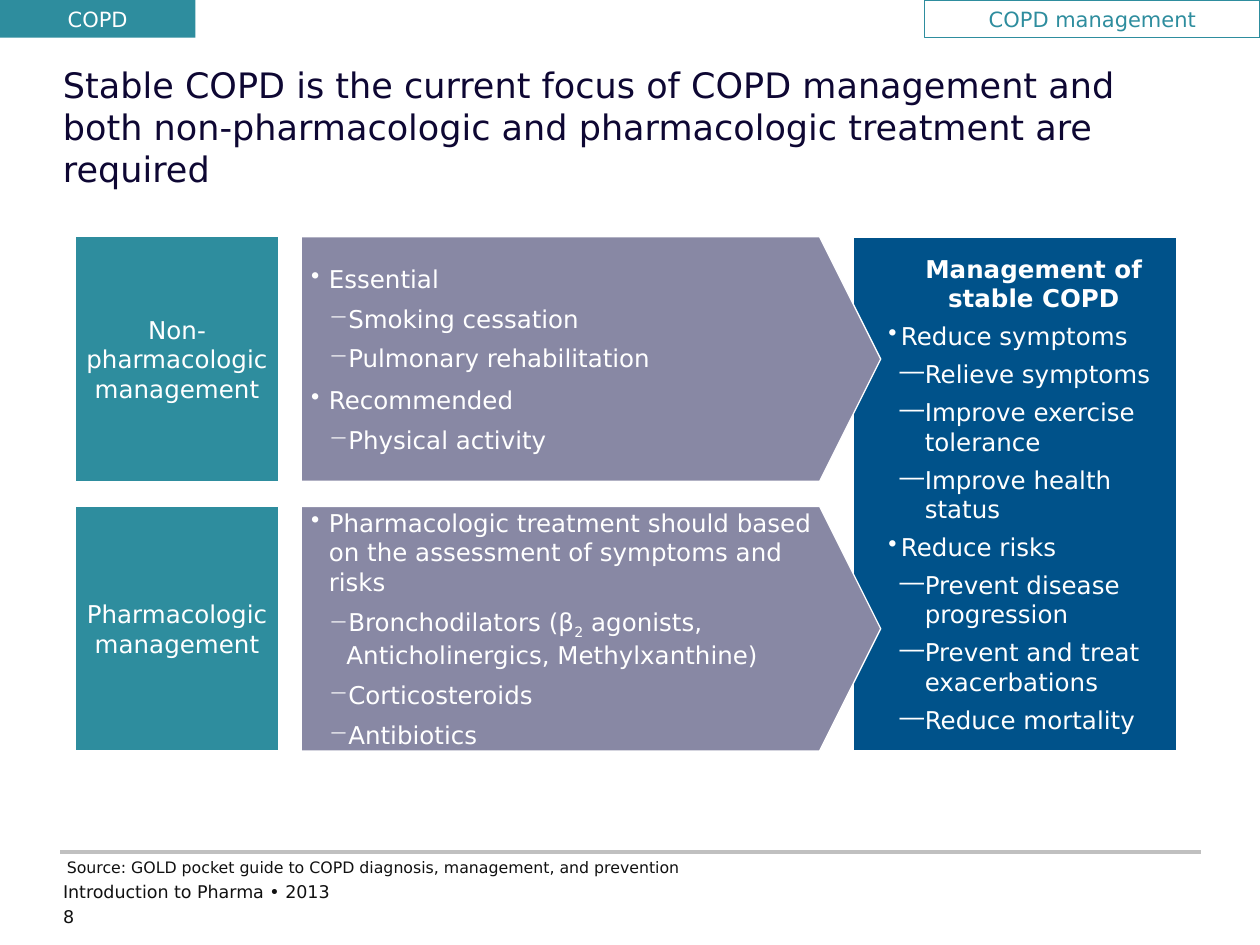
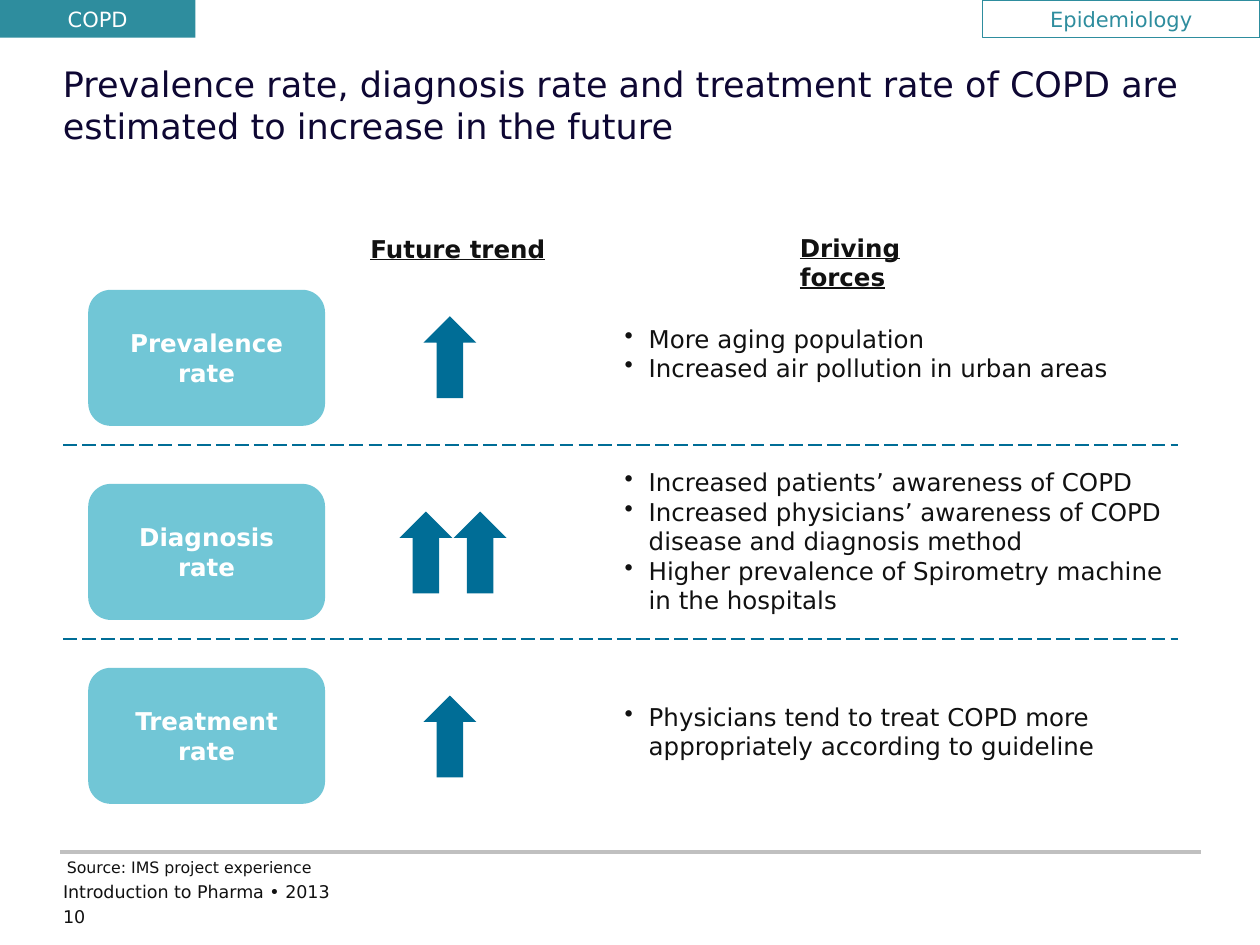
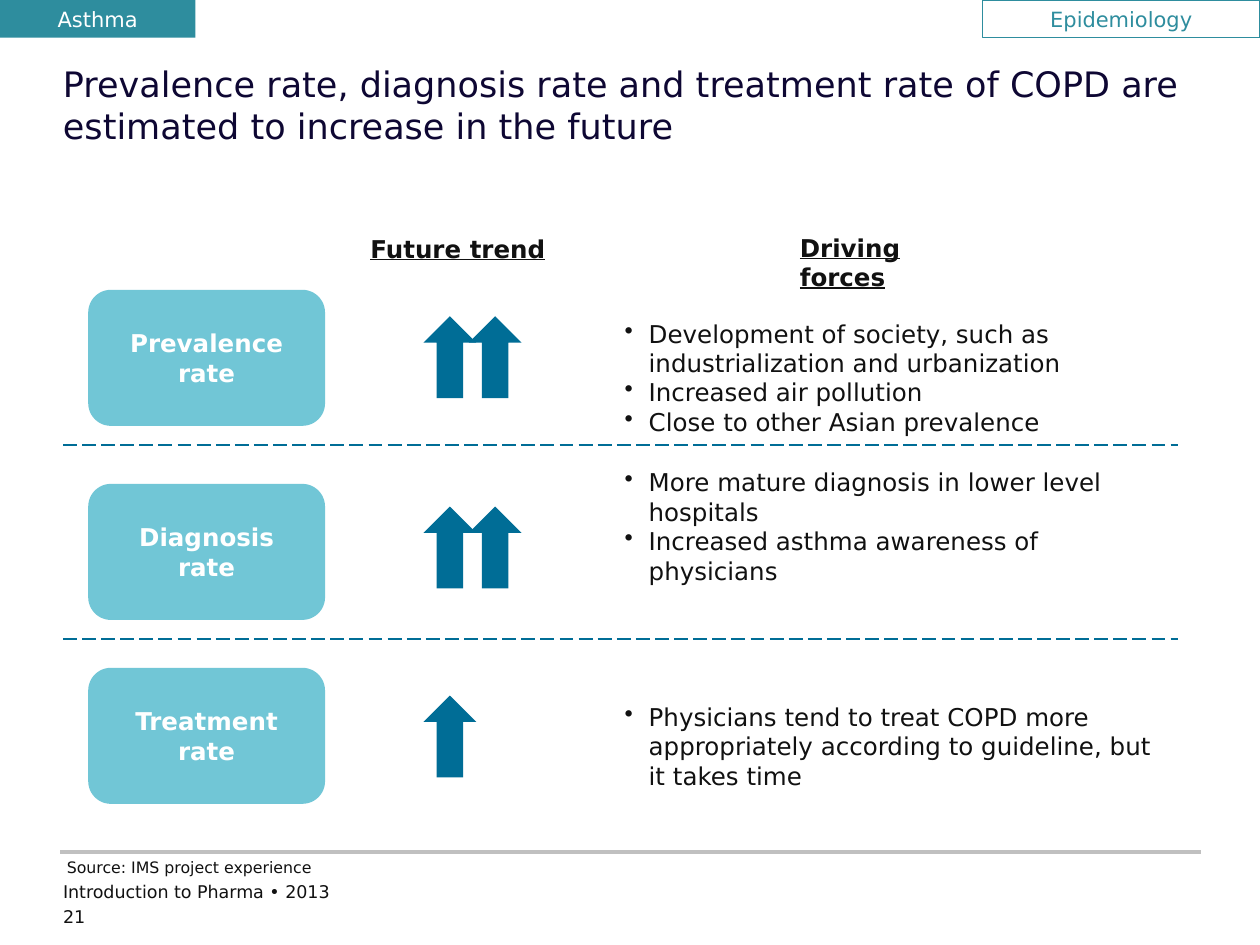
import dataclasses

import lxml.etree
import pptx
import pptx.dml.color
import pptx.enum.dml
import pptx.enum.shapes
import pptx.enum.text
import pptx.oxml.ns
import pptx.util

SHAPE = pptx.enum.shapes.MSO_SHAPE
ALIGN = pptx.enum.text.PP_ALIGN
ANCHOR = pptx.enum.text.MSO_ANCHOR

# The grid has 100 columns and 75 rows.
COLUMN = pptx.util.Inches(10) // 100
ROW = pptx.util.Inches(7.5) // 75


@dataclasses.dataclass(frozen=True)
class Theme:
    font: str = "DejaVu Sans"
    ink: str = "111111"
    title: str = "0E0733"
    white: str = "FFFFFF"
    teal: str = "2E8D9E"
    aqua: str = "71C6D6"
    mauve: str = "8888A4"
    navy: str = "00528A"
    trend: str = "006D96"
    rule: str = "C0C0C0"
    title_size: int = 20
    body_size: int = 14
    tab_size: int = 12
    footer_size: int = 10
    source_size: int = 9


@dataclasses.dataclass(frozen=True)
class Level:
    """Paragraph style: indents in columns, space before in points."""
    mark: str = ""
    left: float = 0
    hanging: float = 0
    gap: float = 0
    heading: bool = False


THEME = Theme()
PLAIN = Level()
FORCE = Level("•", 1.9, 1.9)
GOAL_HEADING = Level(left=3, heading=True)
GOAL = Level("•", 3, 1, 4.9)
SUBGOAL = Level("—", 4.9, 2, 4.9)
CARE = Level("•", 1.4, 1.4, 7)
SUBCARE = Level("−", 2.8, 1.4, 6)


def rgb(value):
    return pptx.dml.color.RGBColor.from_string(value)


def write_text(frame, paragraphs, *, size=THEME.body_size, color=THEME.ink, bold=False,
               underline=False, align=ALIGN.LEFT, anchor=ANCHOR.TOP,
               insets=(1, 0.5), wrap=True):
    """Fill a frame with (level, text) pairs; text between tildes is subscript."""
    frame.word_wrap = wrap
    frame.vertical_anchor = anchor
    frame.margin_left = frame.margin_right = int(insets[0] * COLUMN)
    frame.margin_top = frame.margin_bottom = int(insets[1] * ROW)
    for index, (level, text) in enumerate(paragraphs):
        paragraph = frame.add_paragraph() if index else frame.paragraphs[0]
        paragraph.alignment = ALIGN.CENTER if level.heading else align
        if index:
            paragraph.space_before = pptx.util.Pt(level.gap)
        properties = paragraph._p.get_or_add_pPr()
        properties.set("marL", str(int(level.left * COLUMN)))
        properties.set("indent", str(int(-level.hanging * COLUMN)))
        if level.mark:
            bullet = lxml.etree.SubElement(properties, pptx.oxml.ns.qn("a:buChar"))
            bullet.set("char", level.mark)
        for part, words in enumerate(text.split("~")):
            run = paragraph.add_run()
            run.text = words
            run.font.name = THEME.font
            run.font.size = pptx.util.Pt(size)
            run.font.color.rgb = rgb(color)
            run.font.bold = bold or level.heading
            run.font.underline = underline
            if part % 2:
                run.font._element.set("baseline", "-25000")


class Deck:
    """Holds the theme and the current slide; places are in columns and rows."""

    def __init__(self, theme):
        self.theme = theme
        self.presentation = pptx.Presentation()
        self.presentation.slide_width = 100 * COLUMN
        self.presentation.slide_height = 75 * ROW
        self.slide = None

    def place(self, left, top, width, height):
        return [int(left * COLUMN), int(top * ROW), int(width * COLUMN), int(height * ROW)]

    def text(self, place, text, **form):
        box = self.slide.shapes.add_textbox(*self.place(*place))
        paragraphs = [(PLAIN, text)] if isinstance(text, str) else text
        write_text(box.text_frame, paragraphs, **form)

    def shape(self, kind, place, text="", *, fill=None, border=None, **form):
        shape = self.slide.shapes.add_shape(kind, *self.place(*place))
        shape.shadow.inherit = False
        if fill:
            shape.fill.solid()
            shape.fill.fore_color.rgb = rgb(fill)
        else:
            shape.fill.background()
        if border:
            shape.line.color.rgb = rgb(border)
            shape.line.width = pptx.util.Pt(0.75)
        else:
            shape.line.fill.background()
        if text:
            paragraphs = [(PLAIN, text)] if isinstance(text, str) else text
            form = {"color": self.theme.white, "align": ALIGN.CENTER,
                    "anchor": ANCHOR.MIDDLE} | form
            write_text(shape.text_frame, paragraphs, **form)
        return shape

    def rule(self, left, right, row, color, weight, dash=None):
        x, y, width, _ = self.place(left, row, right - left, 0)
        line = self.slide.shapes.add_connector(
            pptx.enum.shapes.MSO_CONNECTOR.STRAIGHT, x, y, x + width, y)
        line.line.color.rgb = rgb(color)
        line.line.width = pptx.util.Pt(weight)
        if dash:
            line.line.dash_style = dash
        lxml.etree.SubElement(line._element.spPr, pptx.oxml.ns.qn("a:effectLst"))

    def panel(self, kind, place, text, fill, **form):
        return self.shape(kind, place, text, fill=fill, border=self.theme.white,
                          insets=(0.8, 0.8), **form)

    def start(self, number, title, disease, section, section_left, source):
        """Add a slide with its title, corner tabs and footer."""
        theme = self.theme
        self.slide = self.presentation.slides.add_slide(self.presentation.slide_layouts[6])
        self.rule(4.8, 95.3, 67.6, theme.rule, 2)
        flush = {"insets": (0, 0)}
        self.text((5, 5, 90, 10), title, size=theme.title_size, color=theme.title, **flush)
        self.text((5, 69.9, 66.8, 2.3), "Introduction to Pharma • 2013",
                  size=theme.footer_size, **flush)
        self.text((5, 71.9, 4.8, 2), str(number), size=theme.footer_size, **flush)
        self.text((5.3, 68.1, 49.5, 1.5), source, size=theme.source_size, wrap=False, **flush)
        self.shape(SHAPE.RECTANGLE, (section_left, 0, 100 - section_left, 3), section,
                   border=theme.teal, color=theme.teal, size=theme.tab_size, wrap=False)
        self.shape(SHAPE.RECTANGLE, (0, 0, 15.5, 3), disease, fill=theme.teal,
                   size=theme.tab_size, anchor=ANCHOR.TOP)


def add_management_slide(deck):
    deck.start(8, "Stable COPD is the current focus of COPD management and both "
               "non-pharmacologic and pharmacologic treatment are required",
               "COPD", "COPD management", 73.4,
               "Source: GOLD pocket guide to COPD diagnosis, management, and prevention")
    goals = [
        (GOAL_HEADING, "Management of stable COPD"),
        (GOAL, "Reduce symptoms"),
        (SUBGOAL, "Relieve symptoms"),
        (SUBGOAL, "Improve exercise tolerance"),
        (SUBGOAL, "Improve health status"),
        (GOAL, "Reduce risks"),
        (SUBGOAL, "Prevent disease progression"),
        (SUBGOAL, "Prevent and treat exacerbations"),
        (SUBGOAL, "Reduce mortality"),
    ]
    approaches = [
        ("Non-pharmacologic management", [
            (CARE, "Essential"),
            (SUBCARE, "Smoking cessation"),
            (SUBCARE, "Pulmonary rehabilitation"),
            (CARE, "Recommended"),
            (SUBCARE, "Physical activity"),
        ]),
        ("Pharmacologic management", [
            (CARE, "Pharmacologic treatment should based on the assessment of "
                   "symptoms and risks"),
            (SUBCARE, "Bronchodilators (β~2~ agonists, Anticholinergics, Methylxanthine)"),
            (SUBCARE, "Corticosteroids"),
            (SUBCARE, "Antibiotics"),
        ]),
    ]
    top, height, pitch = 18.8, 19.4, 21.4
    deck.panel(SHAPE.RECTANGLE, (67.7, top, 25.7, pitch + height), goals,
               deck.theme.navy, align=ALIGN.LEFT)
    for index, (approach, measures) in enumerate(approaches):
        row = top + index * pitch
        deck.panel(SHAPE.RECTANGLE, (6, row, 16.1, height), approach, deck.theme.teal)
        arrow = deck.panel(SHAPE.PENTAGON, (23.9, row, 46, height), measures,
                           deck.theme.mauve, align=ALIGN.LEFT)
        arrow.adjustments[0] = 0.25


def add_trend_slide(deck, number, disease, trends):
    """Each trend is (arrow columns, arrow row, text row, text lines, driving forces)."""
    deck.start(number, "Prevalence rate, diagnosis rate and treatment rate of COPD are "
               "estimated to increase in the future",
               disease, "Epidemiology", 78, "Source: IMS project experience")
    heading = {"bold": True, "underline": True, "wrap": False}
    deck.text((28.4, 18.1, 15.9, 3.4), "Future trend", **heading)
    deck.text((62.5, 18, 17.4, 3.4), "Driving forces", **heading)
    rates = zip(("Prevalence rate", "Diagnosis rate", "Treatment rate"), (23, 38.4, 53), trends)
    for rate, rate_row, (arrow_columns, arrow_row, text_row, lines, forces) in rates:
        deck.shape(SHAPE.ROUNDED_RECTANGLE, (7, rate_row, 18.8, 10.8), rate,
                   fill=deck.theme.aqua, bold=True)
        for column in arrow_columns:
            deck.shape(SHAPE.UP_ARROW, (column, arrow_row, 4.2, 6.5), fill=deck.theme.trend)
        deck.text((48.6, text_row, 45.1, 1 + 2.35 * lines),
                  [(FORCE, force) for force in forces])
    for row in (35.3, 50.7):
        deck.rule(5, 93.5, row, deck.theme.trend, 1, pptx.enum.dml.MSO_LINE.LONG_DASH)


def main():
    deck = Deck(THEME)
    add_management_slide(deck)
    add_trend_slide(deck, 10, "COPD", [
        ((33.6,), 25.1, 25.2, 2, [
            "More aging population",
            "Increased air pollution in urban areas"]),
        ((31.7, 36), 40.6, 36.6, 5, [
            "Increased patients’ awareness of COPD",
            "Increased physicians’ awareness of COPD disease and diagnosis method",
            "Higher prevalence of Spirometry machine in the hospitals"]),
        ((33.6,), 55.2, 55.2, 2, [
            "Physicians tend to treat COPD more appropriately according to guideline"]),
    ])
    add_trend_slide(deck, 21, "Asthma", [
        ((33.6, 37.2), 25.1, 24.8, 4, [
            "Development of society, such as industrialization and urbanization",
            "Increased air pollution",
            "Close to other Asian prevalence"]),
        ((33.6, 37.2), 40.2, 36.6, 4, [
            "More mature diagnosis in lower level hospitals",
            "Increased asthma awareness of physicians"]),
        ((33.6,), 55.2, 55.2, 3, [
            "Physicians tend to treat COPD more appropriately according to guideline, "
            "but it takes time"]),
    ])
    deck.presentation.save("out.pptx")


if __name__ == "__main__":
    main()
